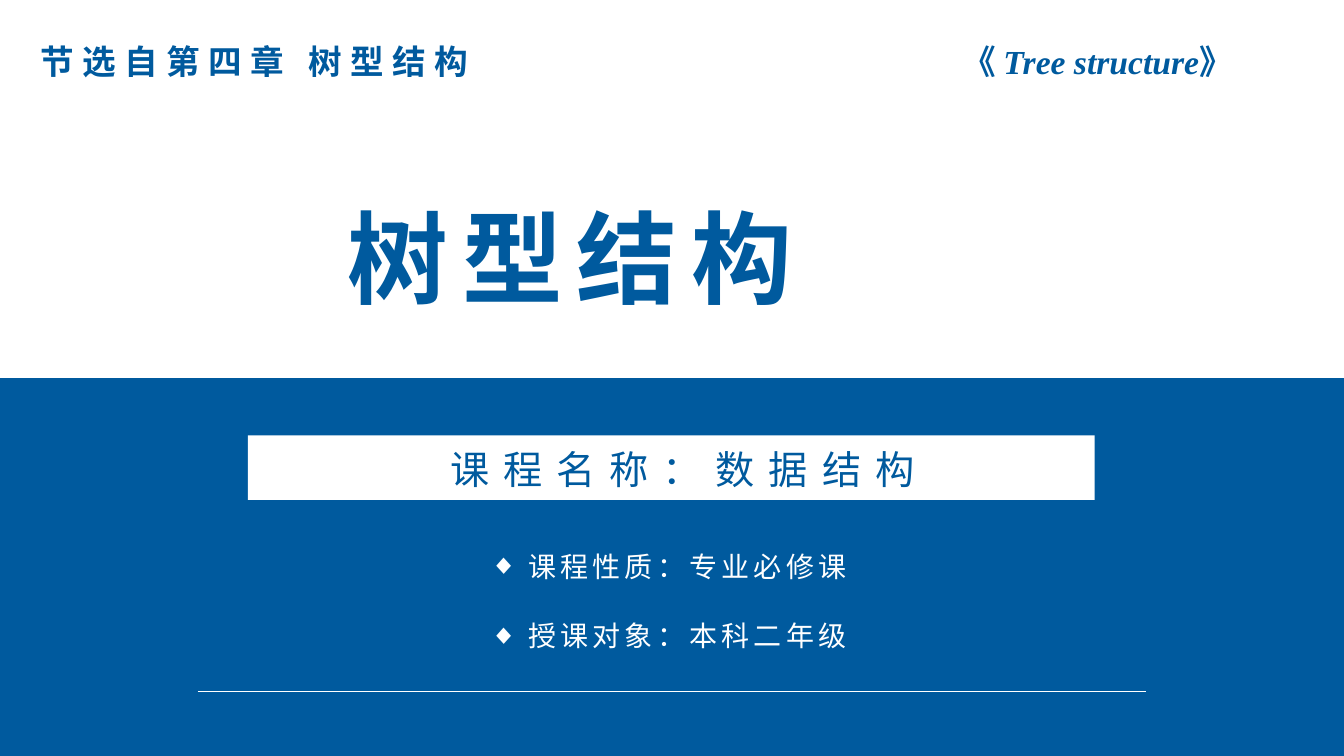
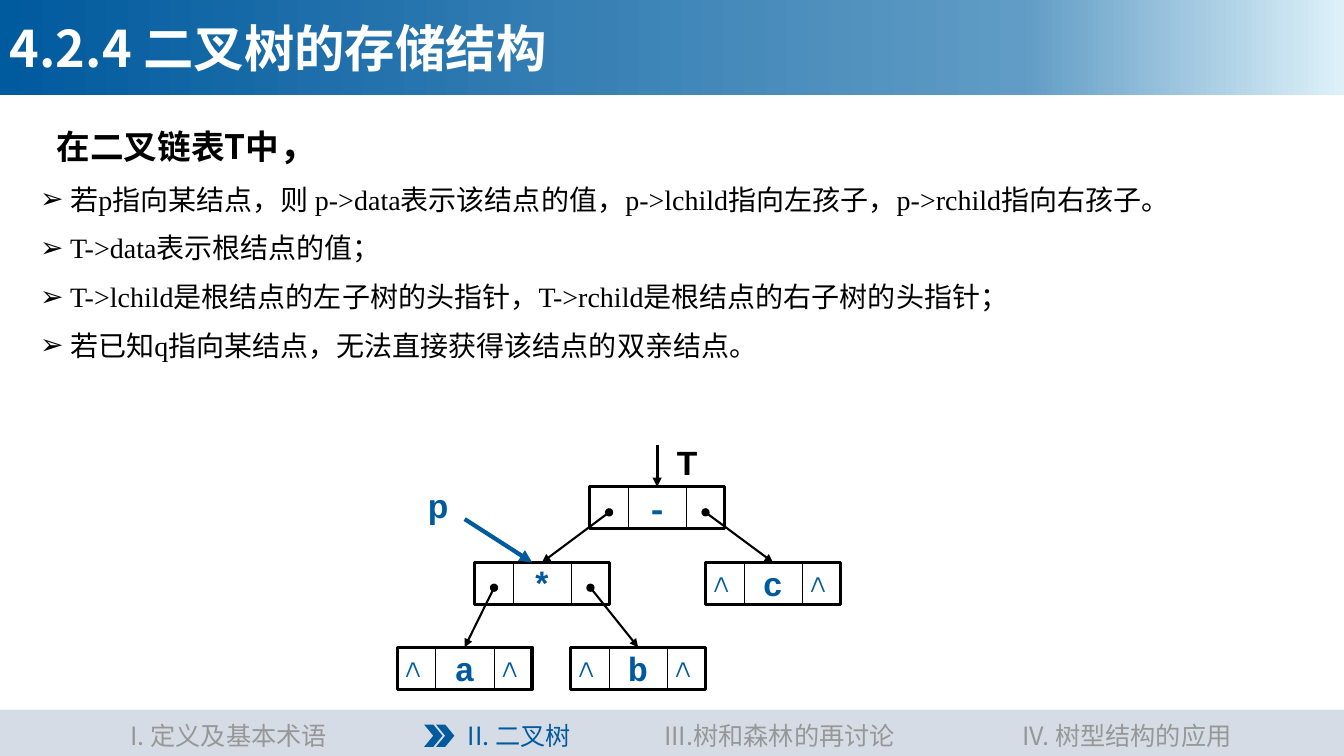
import copy

import pptx
import pptx.dml.color
import pptx.enum.shapes
import pptx.enum.text
import pptx.oxml
import pptx.oxml.ns
import pptx.util

Cm = pptx.util.Cm
Pt = pptx.util.Pt
SHAPE = pptx.enum.shapes.MSO_SHAPE
ALIGN = pptx.enum.text.PP_ALIGN
ANCHOR = pptx.enum.text.MSO_ANCHOR
qn = pptx.oxml.ns.qn

# Shared look
COLORS = {
    "blue": "005A9E", "mid": "609CC5", "pale": "DEF1F9", "white": "FFFFFF",
    "black": "000000", "footer": "D6DCE5", "muted": "979797",
}
CJK = "Noto Sans CJK SC"
SERIF = "Times New Roman"
SANS = "Arial"
MONO = "Courier New"
PAGE_W, PAGE_H = 33.87, 19.05

# Binary tree nodes: three fields, the outer two hold pointers
NODE_W, NODE_H = 3.4, 1.06
DIVIDERS = (0.97, 2.44)
POINTER_X = (0.49, 2.92)
POINTER_Y = 0.64
NODES = {
    "-": (14.86, 12.27, "*", "c"),
    "*": (11.96, 14.17, "a", "b"),
    "c": (17.78, 14.17, None, None),
    "a": (10.01, 16.31, None, None),
    "b": (14.38, 16.31, None, None),
}


def rgb(name):
    return pptx.dml.color.RGBColor.from_string(COLORS[name])


def add_child(parent, tag, **attributes):
    child = pptx.oxml.parse_xml(f"<{tag} {pptx.oxml.ns.nsdecls('a')}/>")
    for key, value in attributes.items():
        child.set(key, value)
    parent.append(child)


# Text
def add_span(para, text, size, color, font=CJK, east=CJK, bold=False,
             italic=False, spacing=0):
    span = para.add_run()
    span.text = text
    span.font.size = Pt(size)
    span.font.bold = bold
    span.font.italic = italic
    span.font.color.rgb = rgb(color)
    span.font.name = font
    properties = span._r.get_or_add_rPr()
    add_child(properties, "a:ea", typeface=east)
    if spacing:
        properties.set("spc", str(spacing * 100))


def set_indent(para, left, first=0.0, bullet=None):
    properties = para._p.get_or_add_pPr()
    properties.set("marL", str(Cm(left)))
    properties.set("indent", str(Cm(first)))
    if bullet:
        add_child(properties, "a:buFont", typeface=SANS)
        add_child(properties, "a:buChar", char=bullet)


def add_box(page, left, top, width, height, align=ALIGN.LEFT, side_inset=0.25):
    """Add a text box and return its first paragraph."""
    frame = page.shapes.add_textbox(
        Cm(left), Cm(top), Cm(width), Cm(height)).text_frame
    frame.word_wrap = True
    frame.margin_left = frame.margin_right = Cm(side_inset)
    para = frame.paragraphs[0]
    para.alignment = align
    return para


def add_label(page, area, text, size, color, align=ALIGN.LEFT, side_inset=0.25,
              **style):
    para = add_box(page, *area, align=align, side_inset=side_inset)
    add_span(para, text, size, color, **style)
    return para


# Shapes and lines
def add_block(page, left, top, width, height, fill=None, kind=SHAPE.RECTANGLE):
    block = page.shapes.add_shape(
        kind, Cm(left), Cm(top), Cm(width), Cm(height))
    block.shadow.inherit = False
    block.line.fill.background()
    if fill:
        block.fill.solid()
        block.fill.fore_color.rgb = rgb(fill)
    else:
        block.fill.background()
    return block


def add_line(page, start, end, color, width, head=None, tail=None):
    line = page.shapes.add_connector(
        pptx.enum.shapes.MSO_CONNECTOR.STRAIGHT,
        Cm(start[0]), Cm(start[1]), Cm(end[0]), Cm(end[1]))
    line.line.color.rgb = rgb(color)
    line.line.width = Pt(width)
    properties = line._element.spPr
    outline = properties.find(qn("a:ln"))
    for tag, shape in (("a:headEnd", head), ("a:tailEnd", tail)):
        if shape:
            add_child(outline, tag, type=shape)
    add_child(properties, "a:effectLst")


def add_title_band(page, text):
    band = add_block(page, 0, 0, PAGE_W, 2.39)
    band.fill.gradient()
    band.fill.gradient_angle = 0
    stop_list = band._element.spPr.find(".//" + qn("a:gsLst"))
    stop_list.insert(1, copy.deepcopy(stop_list[0]))
    stops = ((0, "blue"), (0.76, "mid"), (1, "pale"))
    for stop, (position, color) in zip(band.fill.gradient_stops, stops):
        stop.position = position
        stop.color.rgb = rgb(color)
    band.text_frame.vertical_anchor = ANCHOR.MIDDLE
    para = band.text_frame.paragraphs[0]
    para.alignment = ALIGN.LEFT
    add_span(para, text, 36, "white", bold=True)


def add_footer(page, active):
    add_block(page, 0, 17.88, PAGE_W, 1.17, "footer")
    sections = (
        ("I. 定义及基本术语", 1.09, 9.35),
        ("II. 二叉树", 10.26, 5.66),
        ("III.树和森林的再讨论", 15.95, 7.39),
        ("IV. 树型结构的应用", 25.3, 6.2),
    )
    for index, (text, left, width) in enumerate(sections):
        color = "blue" if index == active else "muted"
        add_label(page, (left, 18.03, width, 1.02), text, 18, color,
                  ALIGN.CENTER)
        if index == active:
            for step in range(2):
                add_block(page, left + 0.43 + 0.3 * step, 18.26, 0.46, 0.56,
                          "blue", SHAPE.CHEVRON)


# Tree diagram
def add_node(page, label, left, top, children):
    node = add_block(page, left, top, NODE_W, NODE_H)
    node.line.color.rgb = rgb("black")
    node.line.width = Pt(2.25)
    frame = node.text_frame
    frame.word_wrap = False
    frame.vertical_anchor = ANCHOR.MIDDLE
    frame.paragraphs[0].alignment = ALIGN.CENTER
    add_span(frame.paragraphs[0], label, 24, "blue", MONO, MONO, bold=True)
    for offset in DIVIDERS:
        add_line(page, (left + offset, top), (left + offset, top + NODE_H),
                 "black", 0.75)
    for child, offset, field in zip(children, POINTER_X, (0, DIVIDERS[1])):
        if child:
            child_left, child_top = NODES[child][:2]
            add_line(page, (left + offset, top + POINTER_Y),
                     (child_left + NODE_W / 2, child_top),
                     "black", 1.5, "oval", "triangle")
        else:
            add_label(page, (left + field, top - 0.21, 0.79, 1.27), "∧", 24,
                      "blue", ALIGN.CENTER, 0, font=MONO, east=MONO, bold=True)


def add_tree(page):
    for label, (left, top, *children) in NODES.items():
        add_node(page, label, left, top, children)
    # Pointers into the tree
    root_left, root_top = NODES["-"][:2]
    root_x = root_left + NODE_W / 2
    add_line(page, (root_x, root_top - 1.05), (root_x, root_top),
             "black", 2.25, tail="triangle")
    add_label(page, (16.81, 11, 0.97, 1.27), "T", 24, "black", ALIGN.CENTER,
              font=SANS, bold=True)
    add_line(page, (11.71, 13.08), (13.41, 14.17), "blue", 3, tail="triangle")
    add_label(page, (10.01, 12.09, 2.06, 1.65), "p", 24, "blue", ALIGN.CENTER,
              font=SANS, bold=True)


# Pages
def build_cover(page):
    add_block(page, 0, PAGE_H / 2, PAGE_W, PAGE_H / 2, "blue")
    add_label(page, (8.51, 4.8, 17.37, 3.35), "树型结构", 72, "blue",
              bold=True, spacing=10)
    # Course details
    add_block(page, 6.25, 10.97, 21.34, 1.63, "white")
    add_label(page, (8.33, 11.1, 17.73, 1.45), "课程名称：数据结构", 28,
              "blue", ALIGN.CENTER, spacing=10)
    details = ("课程性质：专业必修课", "授课对象：本科二年级")
    for row, text in enumerate(details):
        para = add_label(page, (12.09, 13.72 + 1.75 * row, 10.97, 1.12), text,
                         20, "white", spacing=3)
        set_indent(para, 0.97, -0.97, "◆")
    add_line(page, (4.98, 17.42), (28.88, 17.42), "white", 1)
    # Header
    add_label(page, (0.76, 0.91, 17.2, 1.27), "节选自第四章 树型结构", 24,
              "blue", font=SERIF, bold=True, spacing=6)
    para = add_box(page, 24, 0.91, 8.66, 1.27)
    for text, italic in (("《", False), (" Tree structure", True), ("》", False)):
        add_span(para, text, 24, "blue", SERIF, bold=True, italic=italic)


def build_storage(page):
    add_tree(page)
    # Explanation
    para = add_box(page, 0.76, 2.84, 30.66, 8.79)
    frame = para._parent
    set_indent(para, 0.42)
    para.line_spacing = 1.05
    add_span(para, "在二叉链表T中", 24, "black", bold=True)
    add_span(para, "，", 28, "black", bold=True)
    points = (
        ("若", "p", "指向某结点，则 ", "p->data", "表示该结点的值，",
         "p->lchild", "指向左孩子，", "p->rchild", "指向右孩子。"),
        ("T->data", "表示根结点的值；"),
        ("T->lchild", "是根结点的左子树的头指针，",
         "T->rchild", "是根结点的右子树的头指针；"),
        ("若已知", "q", "指向某结点，无法直接获得该结点的双亲结点。"),
    )
    for point in points:
        para = frame.add_paragraph()
        set_indent(para, 0.76, -0.76, "➢")
        para.line_spacing = 1.45
        for text in point:
            add_span(para, text, 20, "black", SERIF if text.isascii() else CJK)
    add_title_band(page, "4.2.4 二叉树的存储结构")
    add_footer(page, active=1)


def main():
    deck = pptx.Presentation()
    deck.slide_width, deck.slide_height = Cm(PAGE_W), Cm(PAGE_H)
    for build in (build_cover, build_storage):
        build(deck.slides.add_slide(deck.slide_layouts[6]))
    deck.save("out.pptx")


if __name__ == "__main__":
    main()
